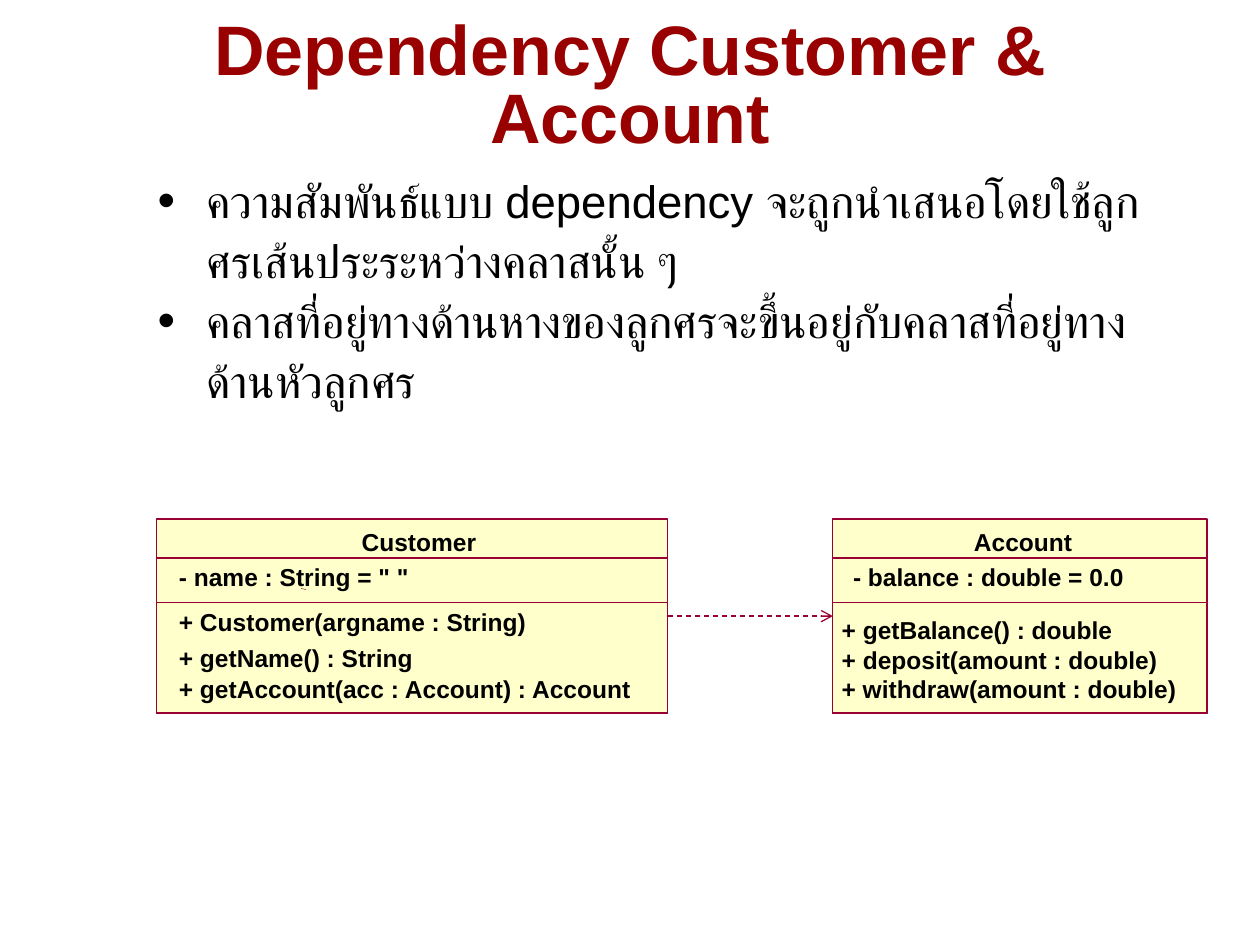
from lxml import etree
from pptx import Presentation
from pptx.dml.color import RGBColor
from pptx.enum.dml import MSO_LINE
from pptx.enum.shapes import MSO_CONNECTOR, MSO_SHAPE
from pptx.enum.text import MSO_ANCHOR, MSO_AUTO_SIZE, PP_ALIGN
from pptx.oxml.ns import qn
from pptx.util import Inches, Pt

RECTANGLE = MSO_SHAPE.RECTANGLE
STRAIGHT = MSO_CONNECTOR.STRAIGHT
DASH = MSO_LINE.DASH
CENTER, LEFT = PP_ALIGN.CENTER, PP_ALIGN.LEFT
MIDDLE, TOP = MSO_ANCHOR.MIDDLE, MSO_ANCHOR.TOP
NO_FIT = MSO_AUTO_SIZE.NONE
RIGHT_SIDE, LEFT_SIDE = 3, 1

COLORS = {"title": "990000", "text": "000000", "box": "FFFFCC", "line": "990033"}
FONT = "Arial"

# Content
TITLE = "Dependency Customer & Account"
BULLETS = [
    "ความสัมพันธ์แบบ dependency จะถูกนำเสนอโดยใช้ลูกศรเส้นประระหว่างคลาสนั้น ๆ",
    "คลาสที่อยู่ทางด้านหางของลูกศรจะขึ้นอยู่กับคลาสที่อยู่ทางด้านหัวลูกศร",
]
# Each class: left and width of its box, then labels as (text, left, top, width)
CLASSES = [
    {"left": 1.24, "width": 4.06, "labels": [
        ("Customer", 2.87, 4.18, 0.91),
        ('- name : String = " "', 1.42, 4.46, 1.83),
        ("+ Customer(argname : String)", 1.42, 4.82, 2.77),
        ("+ getName() : String", 1.42, 5.10, 1.86),
        ("+ getAccount(acc : Account) : Account", 1.42, 5.35, 3.60),
    ]},
    {"left": 6.61, "width": 2.97, "labels": [
        ("Account", 7.73, 4.18, 0.78),
        ("- balance : double = 0.0", 6.77, 4.46, 2.15),
        ("+ getBalance() : double", 6.68, 4.88, 2.15),
        ("+ deposit(amount : double)", 6.68, 5.12, 2.51),
        ("+ withdraw(amount : double)", 6.68, 5.35, 2.67),
    ]},
]
COMPARTMENT_TOPS = [4.12, 4.43, 4.78]
CLASS_BOTTOM = 5.66
LABEL_HEIGHT = 0.24


def rgb(name):
    return RGBColor.from_string(COLORS[name])


def write(shape, lines, size, color="text", bold=False, align=LEFT,
          anchor=TOP, spacing=None, wrap=True):
    """Fill a shape with one paragraph per line and return the paragraphs."""
    frame = shape.text_frame
    frame.text = "\n".join(lines)
    frame.auto_size = NO_FIT
    frame.word_wrap = wrap
    frame.vertical_anchor = anchor
    frame.margin_left = frame.margin_right = 0
    frame.margin_top = frame.margin_bottom = 0
    for paragraph in frame.paragraphs:
        paragraph.alignment = align
        if spacing:
            paragraph.line_spacing = spacing
        font = paragraph.runs[0].font
        font.name, font.size, font.bold = FONT, Pt(size), bold
        font.color.rgb = rgb(color)
    return frame.paragraphs


def add_bullet(paragraph):
    props = paragraph._p.get_or_add_pPr()
    props.set("marL", str(Inches(0.39)))
    props.set("indent", str(-Inches(0.39)))
    bullet_color = etree.SubElement(props, qn("a:buClr"))
    etree.SubElement(bullet_color, qn("a:srgbClr"), val=COLORS["text"])
    etree.SubElement(props, qn("a:buSzPct"), val="110000")
    etree.SubElement(props, qn("a:buFont"), typeface=FONT)
    etree.SubElement(props, qn("a:buChar"), char="•")


def add_line(slide, start, end, width):
    line = slide.shapes.add_connector(
        STRAIGHT, *(Inches(value) for value in (*start, *end)))
    line.line.color.rgb = rgb("line")
    line.line.width = Pt(width)
    etree.SubElement(line._element.spPr, qn("a:effectLst"))
    return line


def add_class(slide, left, width, labels):
    """Draw the nested compartments with their labels; return the outer box."""
    boxes = []
    for top in COMPARTMENT_TOPS:
        box = slide.shapes.add_shape(
            RECTANGLE, Inches(left), Inches(top), Inches(width),
            Inches(CLASS_BOTTOM - top))
        box.shadow.inherit = False
        box.line.color.rgb = rgb("line")
        box.line.width = Pt(0.75)
        if boxes:
            box.fill.background()
        else:
            box.fill.solid()
            box.fill.fore_color.rgb = rgb("box")
        boxes.append(box)
    for text, x, y, label_width in labels:
        label = slide.shapes.add_textbox(
            Inches(x), Inches(y), Inches(label_width), Inches(LABEL_HEIGHT))
        write(label, [text], 14, bold=True, wrap=False)
    return boxes[0]


def main():
    deck = Presentation()
    deck.slide_width, deck.slide_height = Inches(10), Inches(7.5)
    slide = deck.slides.add_slide(deck.slide_layouts[5])

    # Title
    title = slide.shapes.title
    title.left, title.top = Inches(0.75), Inches(0.08)
    title.width, title.height = Inches(8.5), Inches(1.25)
    write(title, [TITLE], 40, color="title", bold=True, align=CENTER,
          anchor=MIDDLE, spacing=0.81)

    # Explanation
    explanation = slide.shapes.add_textbox(
        Inches(1.25), Inches(1.33), Inches(7.92), Inches(2))
    for paragraph in write(explanation, BULLETS, 26, spacing=1.1):
        add_bullet(paragraph)

    # Class diagram
    customer, account = [add_class(slide, **item) for item in CLASSES]

    # Dependency arrow
    dependency = add_line(slide, (5.3, 4.89), (6.61, 4.89), 0.75)
    dependency.begin_connect(customer, RIGHT_SIDE)
    dependency.end_connect(account, LEFT_SIDE)
    dependency.line.dash_style = DASH
    etree.SubElement(dependency.line._get_or_add_ln(), qn("a:tailEnd"), type="arrow")

    # Small stroke under the name attribute
    add_line(slide, (2.43, 4.68), (2.39, 4.67), 0.25)

    deck.save("out.pptx")


if __name__ == "__main__":
    main()
